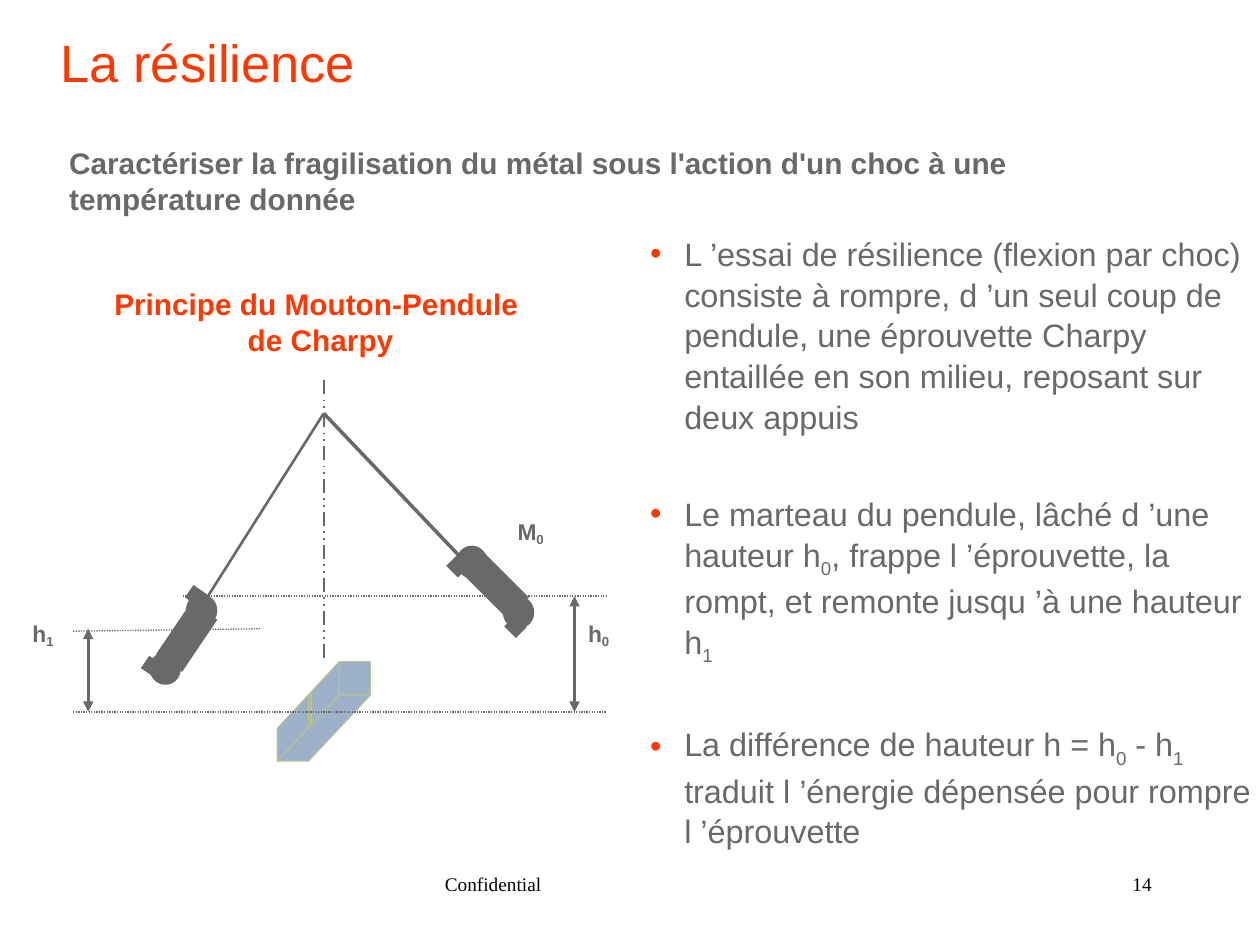
from lxml import etree
from pptx import Presentation
from pptx.dml.color import RGBColor
from pptx.enum.dml import MSO_LINE as DASH
from pptx.enum.shapes import MSO_CONNECTOR as CONN, MSO_SHAPE as SHAPE
from pptx.enum.text import MSO_ANCHOR as ANCHOR, MSO_AUTO_SIZE as AUTO, PP_ALIGN as ALIGN
from pptx.oxml.ns import qn
from pptx.util import Pt

COLORS = {"accent": "FF3700", "gray": "696969", "steel": "9DB1C9", "edge": "BAC48C", "black": "000000"}


def rgb(name):
    return RGBColor.from_string(COLORS[name])


def write(p, text, size=17, color="gray", font="Arial", bold=False, align=ALIGN.LEFT, sub=-16):
    p.alignment = align
    for i, part in enumerate(text.split("_")):
        if not part:
            continue
        r = p.add_run()
        r.text = part
        r.font.size = Pt(size)
        r.font.name = font
        r.font.bold = bold
        r.font.color.rgb = rgb(color)
        if i % 2:
            r.font._element.set("baseline", str(sub * 1000))


class Deck:
    def __init__(self, width, height):
        self.prs = Presentation()
        self.prs.slide_width, self.prs.slide_height = Pt(width), Pt(height)
        self.s = self.prs.slides.add_slide(self.prs.slide_layouts[1])

    def frame(self, sp, margins=(0, 0), anchor=ANCHOR.TOP, wrap=True):
        tf = sp.text_frame
        tf.margin_left = tf.margin_right = Pt(margins[0])
        tf.margin_top = tf.margin_bottom = Pt(margins[1])
        tf.vertical_anchor = anchor
        tf.word_wrap = wrap
        tf.auto_size = AUTO.NONE
        return tf

    def place(self, sp, x, y, w, h):
        sp.left, sp.top, sp.width, sp.height = Pt(x), Pt(y), Pt(w), Pt(h)

    def title(self, text, box):
        sp = self.s.shapes.title
        self.place(sp, *box)
        write(self.frame(sp, anchor=ANCHOR.BOTTOM).paragraphs[0], text, size=30, color="accent")

    def bullets(self, items, box, gap):
        sp = self.s.placeholders[1]
        self.place(sp, *box)
        tf = self.frame(sp)
        for i, item in enumerate(items):
            p = tf.add_paragraph() if i else tf.paragraphs[0]
            p.space_before = Pt(gap if i else 5)
            p.line_spacing = 1.05
            write(p, item, size=18.5, sub=-25)
            pPr = p._p.get_or_add_pPr()
            pPr.set("marL", str(Pt(19.5)))
            pPr.set("indent", str(Pt(-19.5)))
            clr = etree.SubElement(pPr, qn("a:buClr"))
            etree.SubElement(clr, qn("a:srgbClr"), val=COLORS["accent"])
            etree.SubElement(pPr, qn("a:buFont"), typeface="Arial")
            etree.SubElement(pPr, qn("a:buChar"), char="•")

    def text(self, lines, box, margins=(7.2, 3.6), wrap=True, **fmt):
        tf = self.frame(self.s.shapes.add_textbox(*map(Pt, box)), margins, wrap=wrap)
        for i, line in enumerate(lines):
            write(tf.add_paragraph() if i else tf.paragraphs[0], line, **fmt)

    def paint(self, sp, fill, edge=None):
        sp.shadow.inherit = False
        sp.fill.solid()
        sp.fill.fore_color.rgb = rgb(fill)
        if edge:
            sp.line.color.rgb = rgb(edge)
            sp.line.width = Pt(0.5)
        else:
            sp.line.fill.background()

    def shape(self, kind, box, fill="gray", edge=None, rotation=0):
        sp = self.s.shapes.add_shape(kind, *map(Pt, box))
        sp.rotation = rotation
        self.paint(sp, fill, edge)

    def polygon(self, points, fill, edge):
        (x, y), *rest = [(Pt(x), Pt(y)) for x, y in points]
        builder = self.s.shapes.build_freeform(x, y)
        builder.add_line_segments(rest, close=True)
        self.paint(builder.convert_to_shape(), fill, edge)

    def line(self, start, end, width=0.75, color="gray", dash=None, arrows=False):
        c = self.s.shapes.add_connector(CONN.STRAIGHT, *map(Pt, start + end))
        c.line.color.rgb = rgb(color)
        c.line.width = Pt(width)
        if dash:
            c.line.dash_style = dash
        spPr = c._element.spPr
        if arrows:
            for tag in ("a:headEnd", "a:tailEnd"):
                etree.SubElement(spPr.find(qn("a:ln")), qn(tag), type="triangle")
        etree.SubElement(spPr, qn("a:effectLst"))

    def hammer(self, discs, lugs, body, disc_turn, lug_turn, body_turn):
        for kind, boxes, turn in ((SHAPE.OVAL, discs, disc_turn),
                                  (SHAPE.RECTANGLE, lugs, lug_turn),
                                  (SHAPE.RECTANGLE, [body], body_turn)):
            for box in boxes:
                self.shape(kind, box, rotation=turn)


def main():
    deck = Deck(720, 540)
    deck.title("La résilience", (34.6, -9.4, 648.7, 62.6))
    deck.bullets([
        "L ’essai de résilience (flexion par choc) consiste à rompre, d ’un seul coup de pendule, "
        "une éprouvette Charpy entaillée en son milieu, reposant sur deux appuis",
        "Le marteau du pendule, lâché d ’une hauteur h_0_, frappe l ’éprouvette, la rompt, "
        "et remonte jusqu ’à une hauteur h_1_",
        "La différence de hauteur h = h_0_ - h_1_ traduit l ’énergie dépensée pour rompre l ’éprouvette",
    ], (371.5, 132.5, 348.5, 360), gap=32)

    pivot = (185, 236.2)
    top, rise, base = 340.6, 359.3, 406.8
    deck.line(pivot, (265.7, 321.1), 2)
    deck.line((104.4, top), (346.3, top), dash=DASH.ROUND_DOT)
    deck.hammer([(260.6, 311.8, 18, 18.7), (287.3, 340.6, 18, 18.7)],
                [(257, 319, 8.6, 9.4), (290.2, 353.5, 8.6, 9.4)],
                (263.5, 325.4, 38.2, 17.3), 0, 315, 45)
    deck.line(pivot, (113, 349.9), 1.5)
    deck.line((41.8, 360.7), (149, rise), dash=DASH.ROUND_DOT)
    deck.hammer([(105.8, 339.8, 18.7, 18), (85, 373, 18.7, 18)],
                [(107.3, 336.2, 9.4, 8.6), (82.1, 376.6, 9.4, 8.6)],
                (88.6, 355, 36, 18), 79.1, 34.1, 124.1)

    deck.polygon([(158.4, 416.2), (158.4, 434.9), (193.9, 397.4), (193.9, 378)], "steel", "edge")
    deck.shape(SHAPE.RECTANGLE, (193.9, 378, 18, 18.9), "steel", "edge")
    deck.polygon([(211.9, 397.1), (176.4, 434.9), (158.4, 434.9), (194.2, 397.1)], "steel", "edge")
    for x, y in ((176.4, 397.4), (177.8, 395.3)):
        deck.line((x, y + 18.7), (x, y), color="edge")

    deck.line((41.8, base), (346.3, base), dash=DASH.ROUND_DOT)
    for x, y in ((50.4, rise), (328.3, top)):
        deck.line((x, y), (x, base), 1.75, arrows=True)
    deck.line((185, 217.4), (185, 378), 1, dash=DASH.DASH_DOT_DOT)

    for label, x, y in (("M_0_", 288.7, 292.3), ("h_0_", 329, 350.6), ("h_1_", 11.5, 350.6)):
        deck.text([label], (x, y, 28, 23.8), wrap=False, size=13, bold=True)
    deck.text(["Principe du Mouton-Pendule ", "de Charpy"], (58.3, 159.8, 249.8, 48.2),
              wrap=False, color="accent", bold=True, align=ALIGN.CENTER)
    deck.text(["Caractériser la fragilisation du métal sous l'action d'un choc à une température donnée"],
              (32.4, 79.2, 575.3, 48.2), bold=True)
    footer = dict(margins=(0, 0), size=11, color="black", font="Times New Roman")
    deck.text(["Confidential"], (254.2, 498.2, 228.2, 21.6), **footer)
    deck.text(["14"], (508.3, 498.2, 149.8, 21.6), align=ALIGN.RIGHT, **footer)
    deck.prs.save("out.pptx")


if __name__ == "__main__":
    main()
